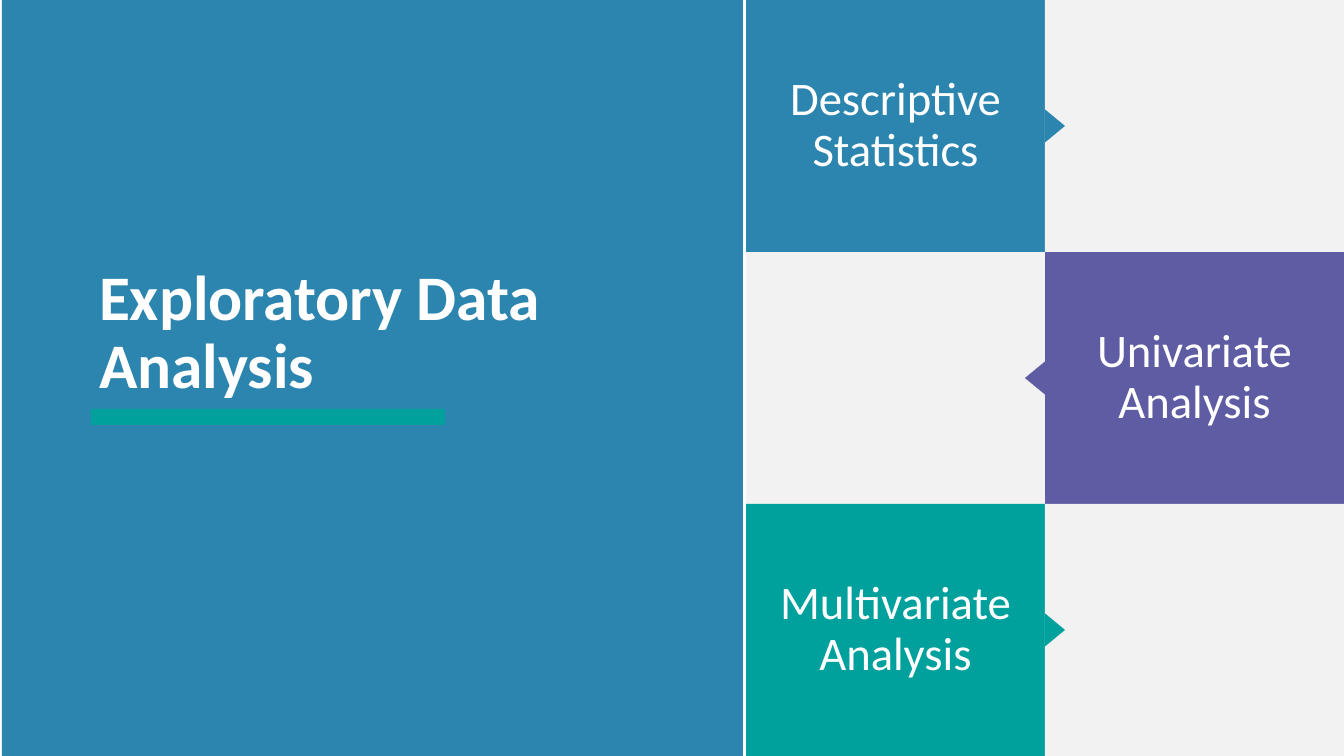
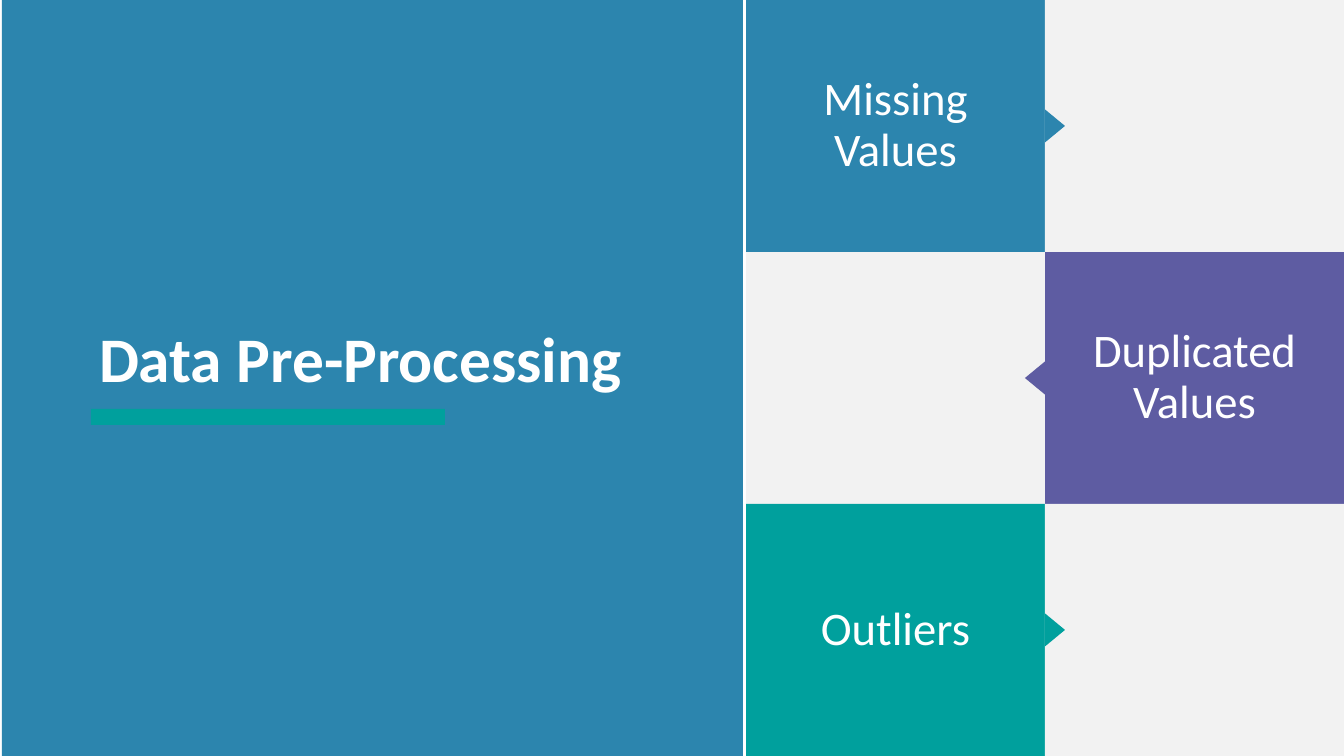
from dataclasses import dataclass
from pptx import Presentation
from pptx.dml.color import RGBColor
from pptx.enum.shapes import MSO_SHAPE
from pptx.enum.text import MSO_ANCHOR, MSO_AUTO_SIZE, PP_ALIGN
from pptx.util import Pt

RECT, TRIANGLE = MSO_SHAPE.RECTANGLE, MSO_SHAPE.ISOSCELES_TRIANGLE
LEFT, CENTER = PP_ALIGN.LEFT, PP_ALIGN.CENTER
MIDDLE, NO_FIT = MSO_ANCHOR.MIDDLE, MSO_AUTO_SIZE.NONE

SECTIONS = [
    {"title": "Exploratory Data Analysis", "title_height": 184,
     "topics": ["Descriptive Statistics", "Univariate Analysis", "Multivariate Analysis"]},
    {"title": "Data Pre-Processing", "title_height": 128,
     "topics": ["Missing Values", "Duplicated Values", "Outliers"]},
]


@dataclass(frozen=True)
class Theme:
    font: str = "Calibri"
    title_size: int = 34
    topic_size: int = 25
    line_spacing: float = 0.9
    text: str = "FFFFFF"
    panel: str = "2C85AE"
    underline: str = "00A09D"
    empty: str = "F2F2F2"
    topics: tuple = ("2C85AE", "5E5CA2", "00A09D")


THEME = Theme()
EMU_PER_PX = 914400 / 134.4
SLIDE_W, SLIDE_H = 1344, 756
PANEL = (2, 0, 741, SLIDE_H)
TITLE_X, TITLE_W, TITLE_BOTTOM = 90, 563, 426
UNDERLINE = (91, 409, 354, 16)
GRID_X, CELL_W, CELL_H = 746, 299, 252
MIDLINE = GRID_X + CELL_W
POINTER_W, POINTER_H = 33, 20
LABEL_INSET_X = 21
LABEL_INSETS_Y = (24, 24, 46)
TEXT_INSET_X, TEXT_INSET_Y = 9, 5


def px(n):
    return round(n * EMU_PER_PX)


def add_block(s, kind, box, color, rotation=0):
    sp = s.shapes.add_shape(kind, *map(px, box))
    sp.shadow.inherit = False
    sp.fill.solid()
    sp.fill.fore_color.rgb = RGBColor.from_string(color)
    sp.line.fill.background()
    sp.rotation = rotation


def write_text(sp, text, size, align, bold=False):
    tf = sp.text_frame
    tf.text = text
    tf.word_wrap = True
    tf.auto_size = NO_FIT
    tf.vertical_anchor = MIDDLE
    tf.margin_left = tf.margin_right = px(TEXT_INSET_X)
    tf.margin_top = tf.margin_bottom = px(TEXT_INSET_Y)
    p = tf.paragraphs[0]
    p.alignment = align
    p.line_spacing = THEME.line_spacing
    p.space_before = Pt(0)
    font = p.runs[0].font
    font.name = THEME.font
    font.size = Pt(size)
    font.bold = bold
    font.color.rgb = RGBColor.from_string(THEME.text)


def add_title(s, text, height):
    title = s.shapes.title
    title.element.getparent().append(title.element)
    title.left, title.top = px(TITLE_X), px(TITLE_BOTTOM - height)
    title.width, title.height = px(TITLE_W), px(height)
    write_text(title, text, THEME.title_size, LEFT, bold=True)


def add_topic(s, row, text):
    color, inset_y = THEME.topics[row], LABEL_INSETS_Y[row]
    on_right = row % 2
    columns = (GRID_X, MIDLINE)
    x, empty_x = columns[on_right], columns[1 - on_right]
    y = row * CELL_H
    add_block(s, RECT, (x, y, CELL_W, CELL_H), color)
    add_block(s, RECT, (empty_x, y, CELL_W, CELL_H), THEME.empty)

    direction = -1 if on_right else 1
    pointer_x = MIDLINE + direction * POINTER_H / 2 - POINTER_W / 2
    pointer_y = y + (CELL_H - POINTER_H) / 2
    add_block(s, TRIANGLE, (pointer_x, pointer_y, POINTER_W, POINTER_H),
              color, 270 if on_right else 90)

    label = (x + LABEL_INSET_X, y + inset_y,
             CELL_W - 2 * LABEL_INSET_X, CELL_H - 2 * inset_y)
    write_text(s.shapes.add_textbox(*map(px, label)), text, THEME.topic_size, CENTER)


def add_section(prs, section):
    s = prs.slides.add_slide(prs.slide_layouts[5])
    add_block(s, RECT, PANEL, THEME.panel)
    add_title(s, section["title"], section["title_height"])
    for row, topic in enumerate(section["topics"]):
        add_topic(s, row, topic)
    add_block(s, RECT, UNDERLINE, THEME.underline)


def main():
    prs = Presentation()
    prs.slide_width, prs.slide_height = px(SLIDE_W), px(SLIDE_H)
    for section in SECTIONS:
        add_section(prs, section)
    prs.save("out.pptx")


if __name__ == "__main__":
    main()
